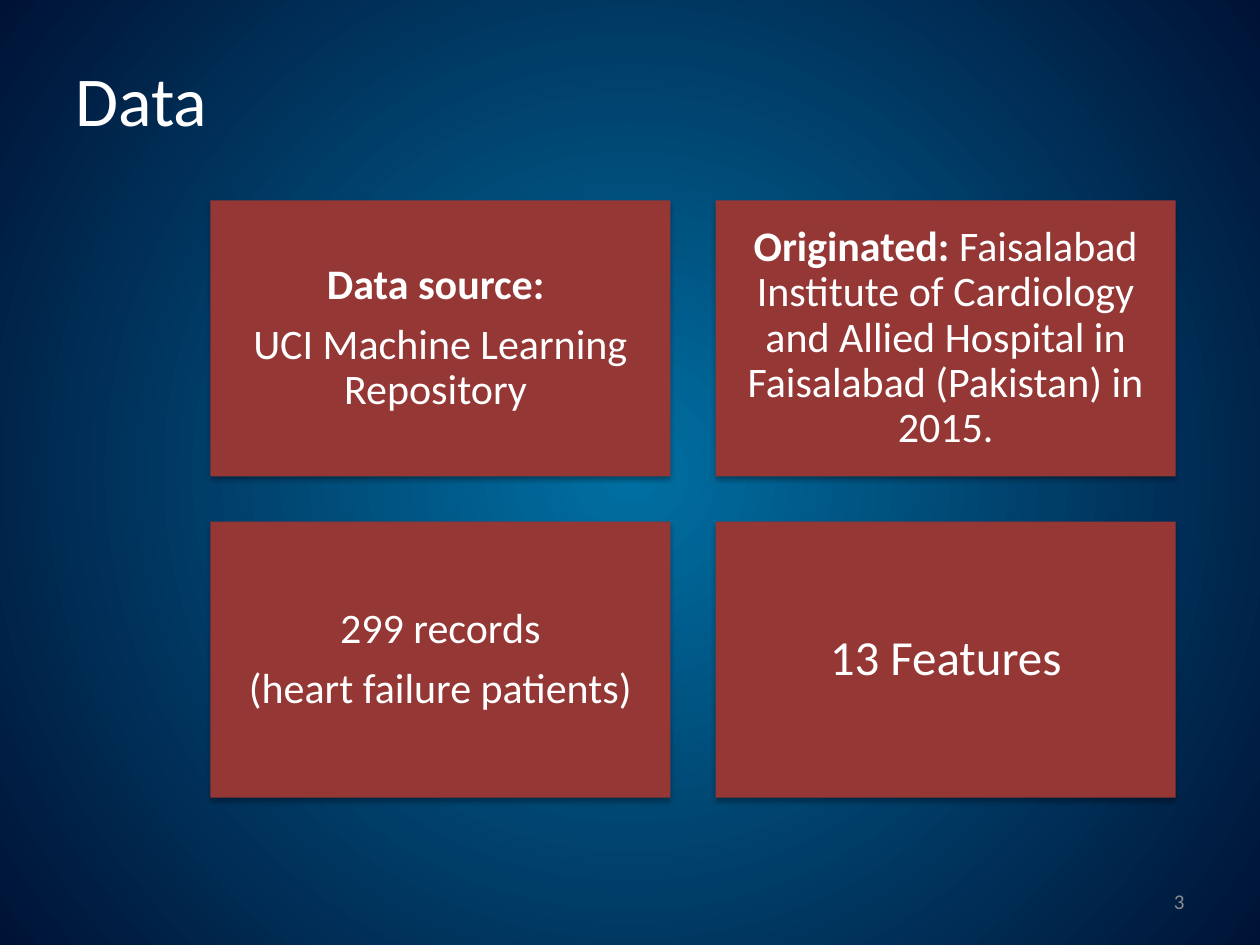
from lxml import etree
from pptx import Presentation
from pptx.dml.color import RGBColor
from pptx.enum import shapes, text
from pptx.oxml import parse_xml
from pptx.oxml.ns import nsdecls
from pptx.util import Inches, Pt

WHITE = RGBColor(0xFF, 0xFF, 0xFF)
GREY = RGBColor(0x8C, 0x8C, 0x8C)
RED = RGBColor(0x95, 0x37, 0x35)
GLOW = RGBColor(0x00, 0x70, 0xA2)
NAVY = RGBColor(0x00, 0x12, 0x36)

TITLE = "Data"
PAGE = "3"
# Each card: font size, inset, paragraphs made of (text, bold) runs
CARDS = [
    (24, 0.1, [[("Data source: ", True)],
               [("UCI Machine Learning Repository ", False)]]),
    (24, 0.1, [[("Originated: ", True),
                ("Faisalabad Institute of Cardiology and Allied Hospital "
                 "in Faisalabad (Pakistan) in 2015.", False)]]),
    (24, 0.1, [[("299 records", False)], [("(heart failure patients)", False)]]),
    (28, 0.12, [[("13 Features", False)]]),
]
COLUMNS = 2
LEFT, TOP = 1.67, 1.59
CARD_W, CARD_H, GAP = 3.65, 2.19, 0.36


def set_background(s):
    bg = parse_xml(
        f'<p:bg {nsdecls("p", "a")}><p:bgPr><a:gradFill rotWithShape="1"><a:gsLst>'
        f'<a:gs pos="0"><a:srgbClr val="{GLOW}"/></a:gs>'
        f'<a:gs pos="100000"><a:srgbClr val="{NAVY}"/></a:gs></a:gsLst>'
        '<a:path path="circle"><a:fillToRect l="50000" t="50000" r="50000" b="50000"/>'
        '</a:path></a:gradFill><a:effectLst/></p:bgPr></p:bg>')
    s.element.cSld.insert(0, bg)


def add_shadow(shape):
    shape.shadow.inherit = False
    effects = shape.element.spPr.find(
        "{http://schemas.openxmlformats.org/drawingml/2006/main}effectLst")
    effects.append(parse_xml(
        f'<a:outerShdw {nsdecls("a")} blurRad="{Pt(3.1)}" dist="{Pt(1.8)}" '
        'dir="5400000" rotWithShape="0"><a:srgbClr val="000000">'
        '<a:alpha val="35000"/></a:srgbClr></a:outerShdw>'))


def add_run(p, content, size, color, bold=False):
    r = p.add_run()
    r.text = content
    font = {"name": "Calibri", "size": Pt(size), "bold": bold}
    for name, value in font.items():
        setattr(r.font, name, value)
    r.font.color.rgb = color


def add_card(s, x, y, size, inset, paragraphs):
    card = s.shapes.add_shape(shapes.MSO_SHAPE.RECTANGLE, Inches(x), Inches(y),
                              Inches(CARD_W), Inches(CARD_H))
    card.fill.solid()
    card.fill.fore_color.rgb = RED
    card.line.fill.background()
    add_shadow(card)
    tf = card.text_frame
    tf.word_wrap = True
    tf.vertical_anchor = text.MSO_ANCHOR.MIDDLE
    for side in ("left", "top", "right", "bottom"):
        setattr(tf, f"margin_{side}", Inches(inset))
    for i, runs in enumerate(paragraphs):
        p = tf.add_paragraph() if i else tf.paragraphs[0]
        layout = {"alignment": text.PP_ALIGN.CENTER, "line_spacing": 0.9,
                  "space_after": Pt(size * 0.35)}
        for name, value in layout.items():
            setattr(p, name, value)
        for content, bold in runs:
            add_run(p, content, size, WHITE, bold)


def fill_line(shape, content, size, color, align):
    tf = shape.text_frame
    tf.word_wrap = True
    tf.vertical_anchor = text.MSO_ANCHOR.MIDDLE
    p = tf.paragraphs[0]
    p.alignment = align
    add_run(p, content, size, color)


def main():
    prs = Presentation()
    prs.slide_width, prs.slide_height = Inches(10), Inches(7.5)
    s = prs.slides.add_slide(prs.slide_layouts[5])
    set_background(s)

    title = s.shapes.title
    title.left, title.top = Inches(0.5), Inches(0.39)
    title.width, title.height = Inches(9), Inches(0.78)
    fill_line(title, TITLE, 40, WHITE, text.PP_ALIGN.LEFT)

    for i, card in enumerate(CARDS):
        row, col = divmod(i, COLUMNS)
        add_card(s, LEFT + col * (CARD_W + GAP), TOP + row * (CARD_H + GAP), *card)

    page = s.shapes.add_textbox(Inches(7.17), Inches(6.95), Inches(2.33), Inches(0.4))
    fill_line(page, PAGE, 12, GREY, text.PP_ALIGN.RIGHT)
    prs.save("out.pptx")


if __name__ == "__main__":
    main()
